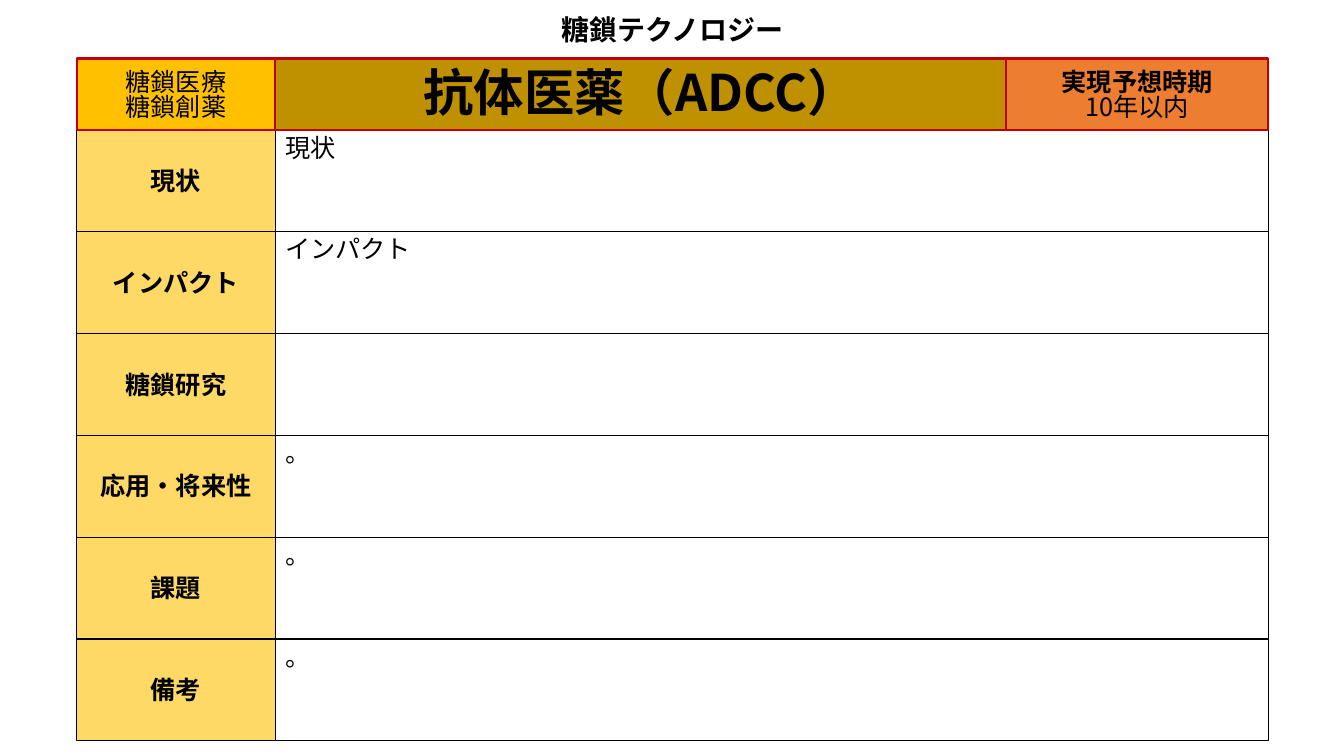
from dataclasses import dataclass
from typing import Optional

from lxml import etree
from pptx import Presentation
from pptx.dml.color import RGBColor
from pptx.enum.shapes import MSO_SHAPE as Preset
from pptx.enum.text import MSO_ANCHOR as Anchor, PP_ALIGN as Align
from pptx.oxml.ns import qn
from pptx.slide import Slide
from pptx.text.text import TextFrame
from pptx.util import Inches, Pt

FONT = "Noto Sans CJK JP"
BLACK = RGBColor(0x00, 0x00, 0x00)
RED = RGBColor(0xC0, 0x00, 0x00)
AMBER = RGBColor(0xFF, 0xC0, 0x00)
DARK_GOLD = RGBColor(0xBF, 0x90, 0x00)
ORANGE = RGBColor(0xED, 0x7D, 0x31)
PALE_GOLD = RGBColor(0xFF, 0xD9, 0x66)

LABEL_LEFT, LABEL_WIDTH = 0.76, 1.97
BODY_LEFT, BODY_WIDTH = LABEL_LEFT + LABEL_WIDTH, 9.85
HEADER_TOP, HEADER_HEIGHT = 0.58, 0.71
ROW_HEIGHT = 1.01
PERIOD_WIDTH = 2.6
TOPIC_WIDTH = BODY_WIDTH - PERIOD_WIDTH


@dataclass(frozen=True)
class Line:
    text: str
    bold: bool = False
    size: int = 18


@dataclass(frozen=True)
class Cell:
    left: float
    top: float
    width: float
    height: float
    lines: tuple[Line, ...]
    fill: Optional[RGBColor] = None
    border: RGBColor = BLACK
    border_width: float = 0.75
    align: Align = Align.CENTER
    anchor: Anchor = Anchor.MIDDLE


def write_text(frame: TextFrame, *lines: Line, align: Align = Align.CENTER,
               anchor: Anchor = Anchor.MIDDLE) -> None:
    frame.word_wrap = True
    frame.vertical_anchor = anchor
    frame.margin_left = frame.margin_right = Inches(0.1)
    frame.margin_top, frame.margin_bottom = Inches(0.07), Inches(0.03)
    for index, line in enumerate(lines):
        paragraph = frame.paragraphs[0] if index == 0 else frame.add_paragraph()
        paragraph.alignment = align
        paragraph.line_spacing = 0.83
        paragraph.space_before = Pt(0)
        run = paragraph.add_run()
        run.text = line.text
        font = run.font
        font.name, font.size, font.bold = FONT, Pt(line.size), line.bold
        font.color.rgb = BLACK
        # East Asian typeface
        latin = run._r.rPr.find(qn("a:latin"))
        east_asian = etree.Element(qn("a:ea"), typeface=FONT)
        latin.addnext(east_asian)


def draw_cell(slide: Slide, cell: Cell) -> None:
    box = slide.shapes.add_shape(
        Preset.RECTANGLE, Inches(cell.left), Inches(cell.top),
        Inches(cell.width), Inches(cell.height))
    box.shadow.inherit = False
    if cell.fill is None:
        box.fill.background()
    else:
        box.fill.solid()
        box.fill.fore_color.rgb = cell.fill
    box.line.color.rgb = cell.border
    box.line.width = Pt(cell.border_width)
    write_text(box.text_frame, *cell.lines, align=cell.align, anchor=cell.anchor)


def header_cell(left: float, width: float, fill: RGBColor, *lines: Line) -> Cell:
    return Cell(left, HEADER_TOP, width, HEADER_HEIGHT, lines, fill, RED, 1.5)


FIELD_HEADER = header_cell(LABEL_LEFT, LABEL_WIDTH, AMBER,
                           Line("糖鎖医療"), Line("糖鎖創薬"))
TOPIC_HEADER = header_cell(BODY_LEFT, TOPIC_WIDTH, DARK_GOLD,
                           Line("抗体医薬（ADCC）", bold=True, size=36))
PERIOD_HEADER = header_cell(BODY_LEFT + TOPIC_WIDTH, PERIOD_WIDTH, ORANGE,
                            Line("実現予想時期", bold=True), Line("10年以内"))

ROWS = [
    ("現状", "現状"),
    ("インパクト", "インパクト"),
    ("糖鎖研究", ""),
    ("応用・将来性", "。"),
    ("課題", "。"),
    ("備考", "。"),
]


def main() -> None:
    deck = Presentation()
    deck.slide_width, deck.slide_height = Inches(13.33), Inches(7.5)
    slide = deck.slides.add_slide(deck.slide_layouts[5])

    # Title
    title = slide.shapes.title
    title.left, title.top = Inches(5.33), Inches(0.08)
    title.width, title.height = Inches(2.68), Inches(0.44)
    write_text(title.text_frame, Line("糖鎖テクノロジー", bold=True, size=20))

    # Rows of label and description
    for index, (label, description) in enumerate(ROWS):
        top = HEADER_TOP + HEADER_HEIGHT + index * ROW_HEIGHT
        draw_cell(slide, Cell(LABEL_LEFT, top, LABEL_WIDTH, ROW_HEIGHT,
                              (Line(label, bold=True),), PALE_GOLD))
        body = (Line(description),) if description else ()
        draw_cell(slide, Cell(BODY_LEFT, top, BODY_WIDTH, ROW_HEIGHT, body,
                              align=Align.LEFT, anchor=Anchor.TOP))

    # Header band, in front of the rows
    for header in (FIELD_HEADER, TOPIC_HEADER, PERIOD_HEADER):
        draw_cell(slide, header)

    deck.save("out.pptx")


if __name__ == "__main__":
    main()
